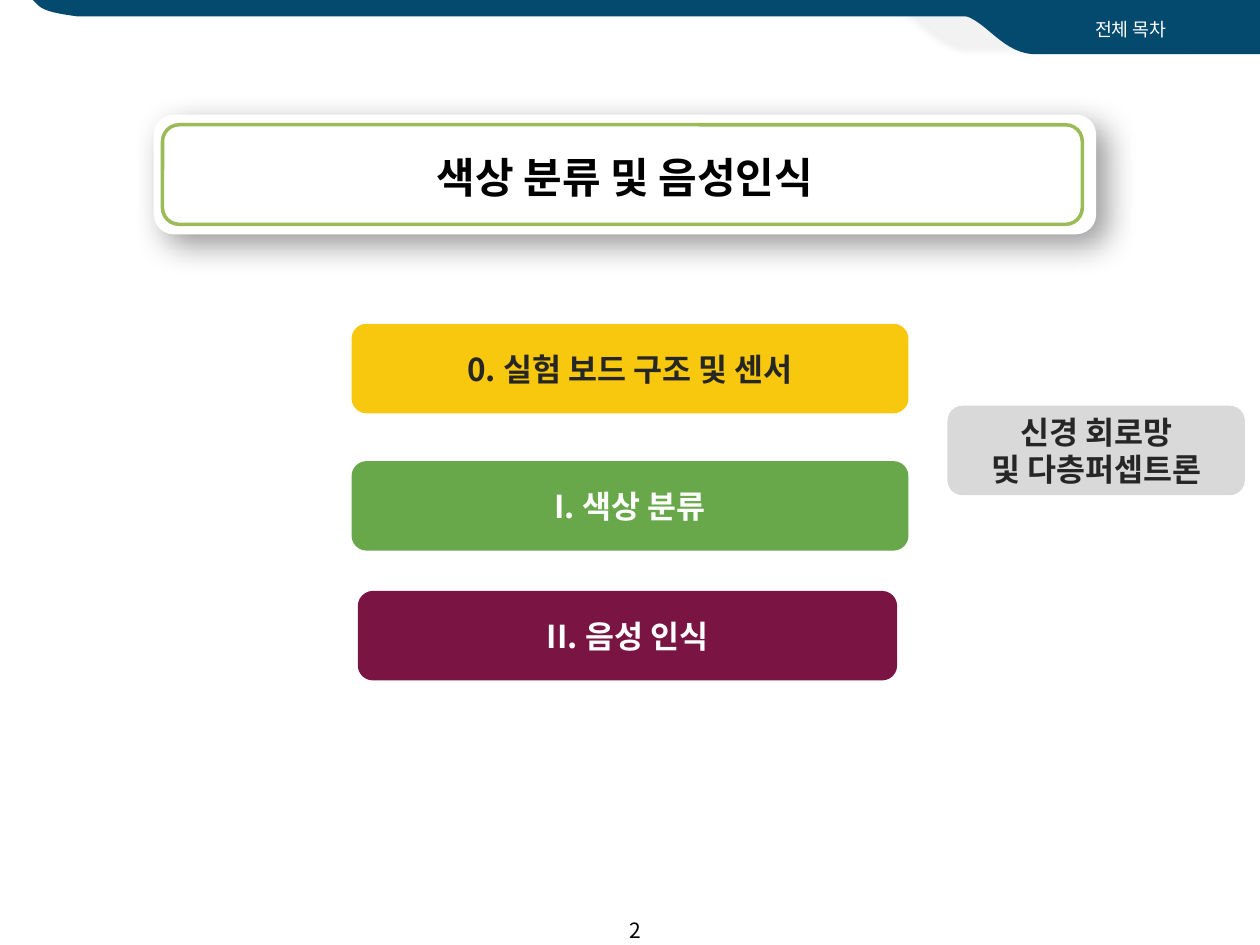
"""Build the contents slide of the colour and speech recognition course."""
from lxml import etree
from pptx import Presentation
from pptx.dml.color import RGBColor
from pptx.enum.shapes import MSO_SHAPE as Shape
from pptx.enum.text import MSO_ANCHOR as Anchor, MSO_AUTO_SIZE as AutoSize, PP_ALIGN as Align
from pptx.oxml import parse_xml
from pptx.oxml.ns import nsdecls, qn
from pptx.util import Inches, Pt

FONT = "Noto Sans CJK KR"


def color(value):
    return RGBColor.from_string(value)


def write(shape, lines, size, ink, bold=False):
    frame = shape.text_frame
    frame.word_wrap = True
    frame.auto_size = AutoSize.NONE
    frame.vertical_anchor = Anchor.MIDDLE
    for index, line in enumerate(lines):
        para = frame.add_paragraph() if index else frame.paragraphs[0]
        para.alignment = Align.CENTER
        span = para.add_run()
        span.text = line
        span.font.size = Pt(size)
        span.font.bold = bold
        span.font.name = FONT
        span.font.color.rgb = color(ink)
        etree.SubElement(span.font._element, qn("a:ea"), typeface=FONT)


deck = Presentation()
deck.slide_width, deck.slide_height = Inches(10), Inches(7.5)
page = deck.slides.add_slide(deck.slide_layouts[5])
shapes = page.shapes

tab = [(0, 0), (2.37, 0), (2.37, 0.31), (0.62, 0.31)]
tab_curve = [(0.62, 0.31), (0.33, 0.33), (0.2, 0.03), (0, 0)]
strip = [(0, 0), (9.74, 0), (9.74, 0.13), (0.35, 0.13)]
strip_curve = [(0.35, 0.13), (0.04, 0.09), (0.06, 0.05), (0, 0)]
bands = [
    (7.13, 0.06, tab, tab_curve, "F2F2F2"),
    (7.63, 0.12, tab, tab_curve, "044A6E"),
    (0.26, 0, strip, strip_curve, "044A6E"),
]
steps = 16
header = []
for left, top, corners, curve, fill in bands:
    points = list(corners)
    for step in range(1, steps):
        t = step / steps
        weights = ((1 - t) ** 3, 3 * t * (1 - t) ** 2, 3 * t ** 2 * (1 - t), t ** 3)
        points.append(tuple(sum(w * p[axis] for w, p in zip(weights, curve)) for axis in (0, 1)))
    points = [(Inches(left + x), Inches(top + y)) for x, y in points]
    builder = shapes.build_freeform(*points[0])
    builder.add_line_segments(points[1:], close=True)
    band = builder.convert_to_shape()
    band.shadow.inherit = False
    band.fill.solid()
    band.fill.fore_color.rgb = color(fill)
    band.line.fill.background()
    header.append(band)

labels = [
    (8.07, 0.09, 1.81, 0.28, "전체 목차", 10.5, "FFFFFF"),
    (4.69, 7.18, 0.71, 0.4, "2", 12, "000000"),
]
for left, top, width, height, label, size, ink in labels:
    box = shapes.add_textbox(Inches(left), Inches(top), Inches(width), Inches(height))
    write(box, [label], size, ink)

boxes = [
    (1.22, 0.91, 7.48, 0.95, "FFFFFF", None, []),
    (1.29, 0.99, 7.3, 0.79, None, None, []),
    (2.79, 2.57, 4.42, 0.71, "F7C80D", "262626", ["0. 실험 보드 구조 및 센서"]),
    (2.79, 3.66, 4.42, 0.71, "68A84A", "FFFFFF", ["I. 색상 분류"]),
    (2.84, 4.69, 4.28, 0.71, "791443", "FFFFFF", ["II. 음성 인식"]),
    (7.52, 3.22, 2.36, 0.71, "D9D9D9", "262626", ["신경 회로망", "및 다층퍼셉트론"]),
]
rounded = []
for left, top, width, height, fill, ink, lines in boxes:
    box = shapes.add_shape(Shape.ROUNDED_RECTANGLE, Inches(left), Inches(top), Inches(width), Inches(height))
    box.shadow.inherit = False
    if fill:
        box.fill.solid()
        box.fill.fore_color.rgb = color(fill)
        box.line.fill.background()
    else:
        box.fill.background()
        box.line.color.rgb = color("9BBB59")
        box.line.width = Pt(2)
    write(box, lines, 18, ink, bold=True)
    rounded.append(box)

shadows = [(header[0], 5, 4, 3, 135), (rounded[0], 40, 18, 8, 45)]
for shape, alpha, blur, distance, angle in shadows:
    effects = shape._element.spPr.find(qn("a:effectLst"))
    effects.append(parse_xml(
        f'<a:outerShdw {nsdecls("a")} blurRad="{Pt(blur)}" dist="{Pt(distance)}" '
        f'dir="{angle * 60000}" algn="ctr" rotWithShape="0"><a:srgbClr val="000000">'
        f'<a:alpha val="{alpha * 1000}"/></a:srgbClr></a:outerShdw>'))

title = shapes.title
title.left, title.top, title.width, title.height = Inches(1.31), Inches(1.15), Inches(7.3), Inches(0.5)
write(title, ["색상 분류 및 음성인식"], 24, "000000", bold=True)
shapes._spTree.append(title._element)

deck.save("out.pptx")
